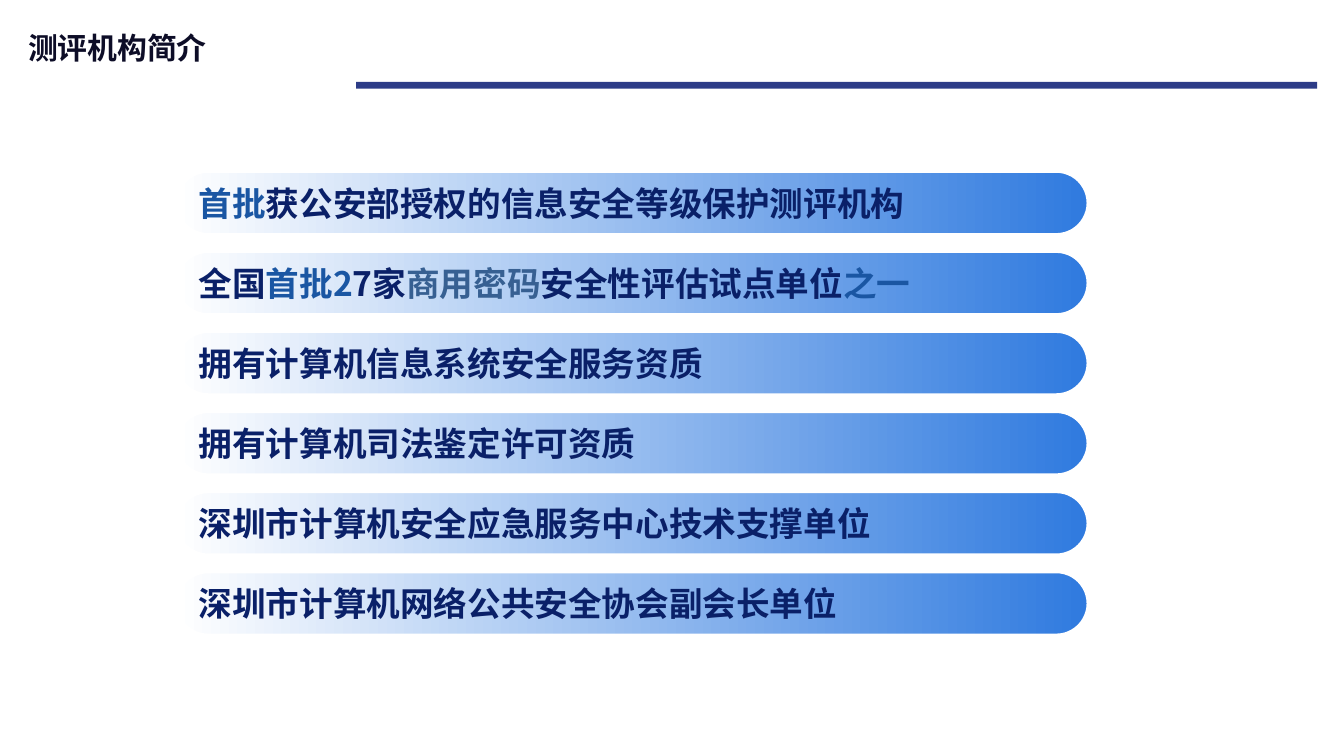
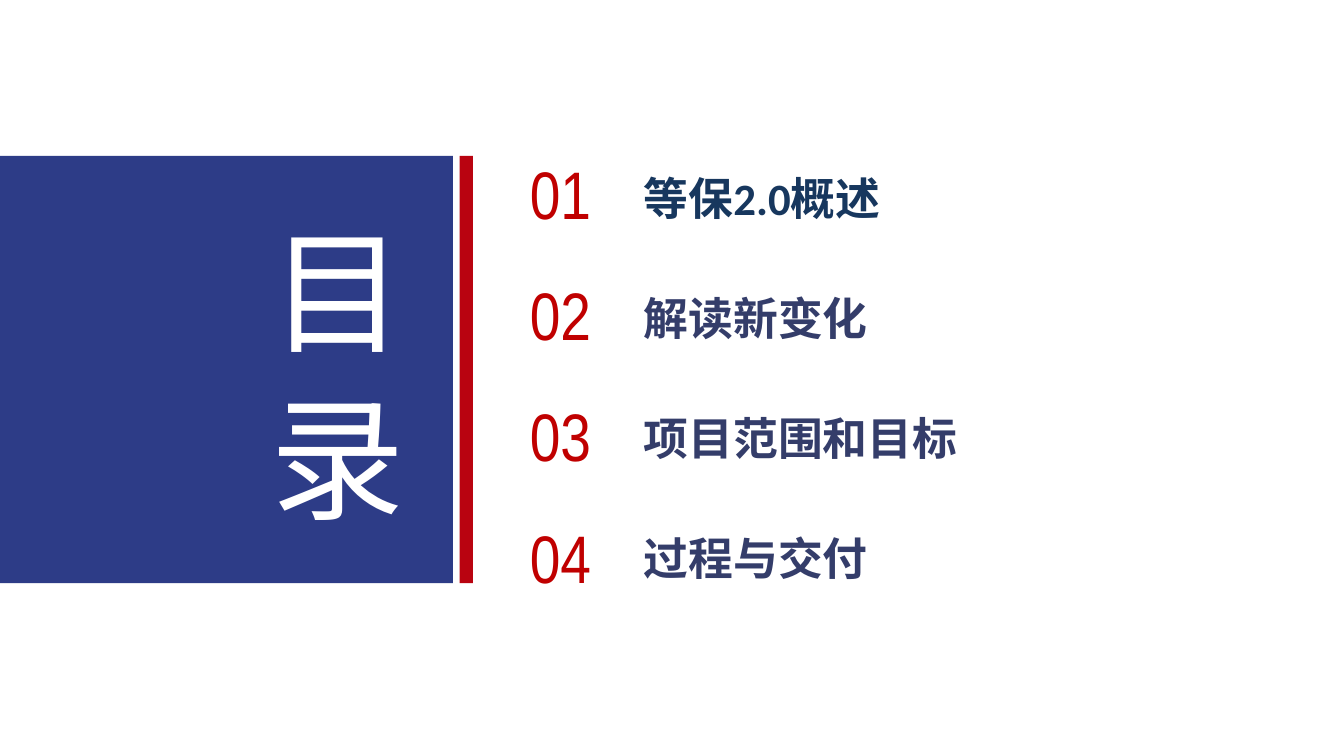
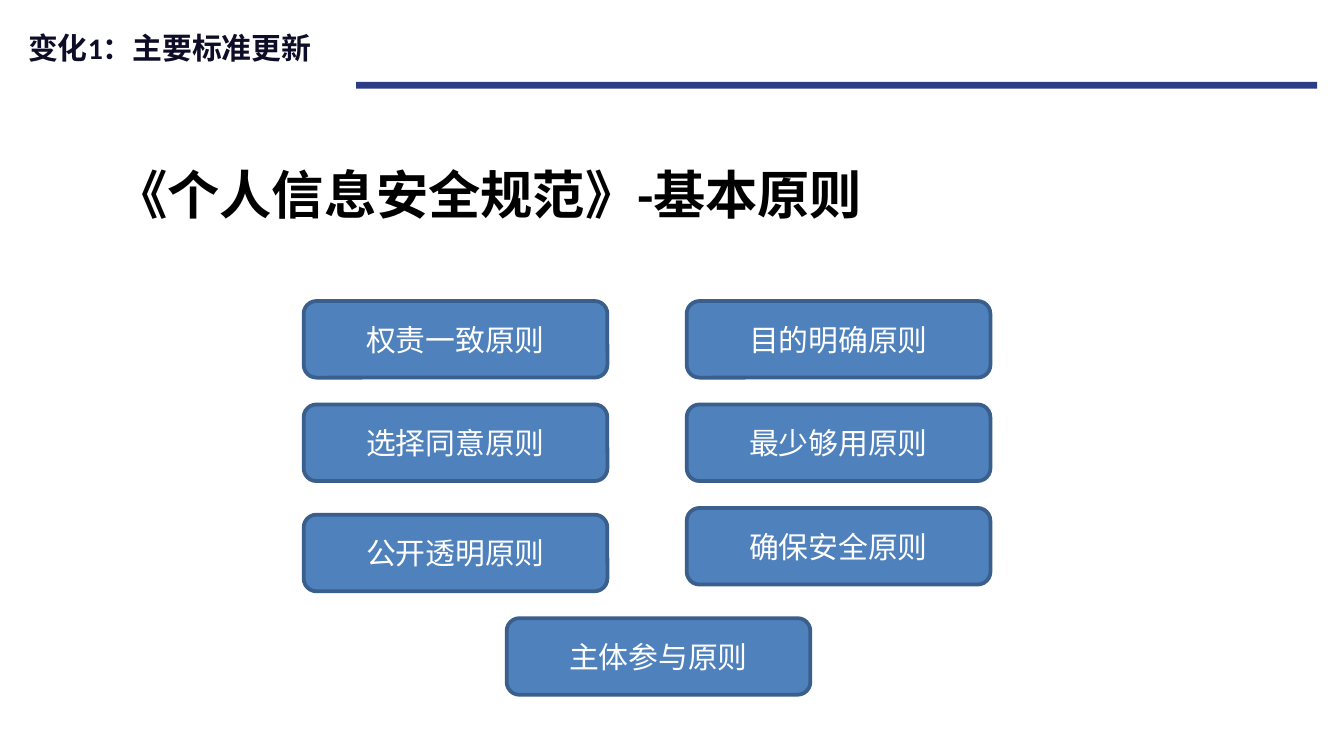
from dataclasses import dataclass

from lxml import etree
from pptx import Presentation
from pptx.dml.color import RGBColor
from pptx.enum.shapes import MSO_SHAPE as Preset
from pptx.enum.text import MSO_ANCHOR as Anchor, MSO_AUTO_SIZE as AutoSize, PP_ALIGN as Align
from pptx.oxml.ns import qn
from pptx.util import Inches, Pt


@dataclass(frozen=True)
class Theme:
    blue: str = "2D3C87"
    red: str = "B90310"
    number: str = "C00000"
    title: str = "0D0D27"
    navy: str = "0A2068"
    accent: str = "1A56A3"
    steel: str = "376092"
    agenda_first: str = "17375E"
    agenda: str = "343D6A"
    bar_end: str = "2F7ADF"
    button: str = "4F81BD"
    button_line: str = "3A5F8C"
    white: str = "FFFFFF"
    black: str = "000000"
    latin: str = "Calibri"
    chinese: str = "Noto Sans CJK SC"
    small: int = 16
    medium: int = 18
    large: int = 24
    heading: int = 28
    numeral: int = 36
    display: int = 72


theme = Theme()
CELL = Inches(0.1)  # the slide is 100 grid columns wide, in 16:9


def place(shape, cells, fill=None, line=None, line_width=2):
    """Put a shape on the grid (column, row, columns, rows) and paint it."""
    shape.left, shape.top, shape.width, shape.height = [round(cell * CELL) for cell in cells]
    if fill:
        shape.shadow.inherit = False
        if isinstance(fill, tuple):
            shape.fill.gradient()
            shape.fill.gradient_angle = 0
            for stop, color in zip(shape.fill.gradient_stops, fill):
                stop.color.rgb = RGBColor.from_string(color)
        else:
            shape.fill.solid()
            shape.fill.fore_color.rgb = RGBColor.from_string(fill)
        if line:
            shape.line.color.rgb = RGBColor.from_string(line)
            shape.line.width = Pt(line_width)
        else:
            shape.line.fill.background()
    return shape


def write(shape, *paragraphs, size, color=theme.black, font=theme.latin, bold=False,
          align=Align.LEFT, anchor=Anchor.TOP, insets=(0.1, 0.05), space_after=0):
    """Fill a shape with paragraphs; each is a text or a list of (text, color) runs."""
    frame = shape.text_frame
    frame.word_wrap = True
    frame.auto_size = AutoSize.NONE
    frame.vertical_anchor = anchor
    frame.margin_left = frame.margin_right = Inches(insets[0])
    frame.margin_top = frame.margin_bottom = Inches(insets[1])
    for index, content in enumerate(paragraphs):
        paragraph = frame.add_paragraph() if index else frame.paragraphs[0]
        paragraph.alignment = align
        paragraph.space_before = Pt(0)
        paragraph.space_after = Pt(space_after)
        for text, run_color in [(content, color)] if isinstance(content, str) else content:
            run = paragraph.add_run()
            run.text = text
            run.font.size = Pt(size)
            run.font.bold = bold
            run.font.name = font
            run.font.color.rgb = RGBColor.from_string(run_color)
            east_asian = etree.Element(qn("a:ea"), typeface=theme.chinese)
            run.font._element.find(qn("a:latin")).addnext(east_asian)


presentation = Presentation()
presentation.slide_width = 100 * CELL
presentation.slide_height = presentation.slide_width * 9 // 16
title_only = presentation.slide_layouts[5]
title_and_body = presentation.slide_layouts[1]

profile, contents, principles = [
    presentation.slides.add_slide(layout) for layout in (title_only, title_and_body, title_only)
]

# Shared header: title and blue rule
for slide, heading in ((profile, "测评机构简介"), (principles, "变化1：主要标准更新")):
    title = place(slide.shapes.title, (1.1, 1.7, 32.4, 3.7))
    write(title, heading, size=theme.small, color=theme.title, bold=True)
    rule = slide.shapes.add_shape(Preset.RECTANGLE, 0, 0, 0, 0)
    place(rule, (26.5, 6.1, 71.5, 0.5), theme.blue)

# Profile: six gradient bars
qualifications = [
    [("首批", theme.accent), ("获公安部授权的信息安全等级保护测评机构", theme.navy)],
    [("全国", theme.navy), ("首批2", theme.accent), ("7家", theme.navy),
     ("商用密码", theme.steel), ("安全性评估试点单位", theme.navy), ("之一", theme.accent)],
    "拥有计算机信息系统安全服务资质",
    "拥有计算机司法鉴定许可资质",
    "深圳市计算机安全应急服务中心技术支撑单位",
    "深圳市计算机网络公共安全协会副会长单位",
]
for index, qualification in enumerate(qualifications):
    bar = profile.shapes.add_shape(Preset.ROUNDED_RECTANGLE, 0, 0, 0, 0)
    bar.adjustments[0] = 0.5
    place(bar, (13.1, 12.7 + 5.96 * index, 67.9, 4.8),
          (theme.white, theme.bar_end), theme.white, 2.25)
    write(bar, qualification, size=theme.medium, color=theme.navy, font=theme.chinese,
          bold=True, anchor=Anchor.MIDDLE)

# Contents: panel and stripe behind a vertical title
title = place(contents.shapes.title, (17.7, 15.7, 14.1, 27.9))
write(title, "目 录", size=theme.display, color=theme.white, font="Arial",
      anchor=Anchor.MIDDLE, insets=(0.1, 0.1))
title.text_frame._txBody.bodyPr.set("vert", "eaVert")
for column, columns, color in ((0, 33.7, theme.blue), (34.2, 1, theme.red)):
    band = contents.shapes.add_shape(Preset.RECTANGLE, 0, 0, 0, 0)
    place(band, (column, 11.6, columns, 31.8), color)
    title.element.addprevious(band.element)

# Contents: numbered chapters
chapters = [[("等保2.0概述", theme.agenda_first)], "解读新变化", "项目范围和目标", "过程与交付"]
body = place(contents.placeholders[1], (47.9, 12.7, 46.2, 31.4))
write(body, *chapters, size=theme.large, color=theme.agenda, bold=True,
      insets=(0, 0), space_after=35.5)
for paragraph in body.text_frame.paragraphs:
    properties = paragraph._p.get_or_add_pPr()
    properties.set("marL", "0")
    properties.set("indent", "0")
    etree.SubElement(properties, qn("a:buNone"))
for index in range(len(chapters)):
    number = contents.shapes.add_textbox(0, 0, 0, 0)
    place(number, (36.7, 8.9 + 9.03 * index, 10, 10.8))
    write(number, f"{index + 1:02}", size=theme.numeral, color=theme.number,
          font="Arial Narrow", align=Align.CENTER, anchor=Anchor.MIDDLE)

# Principles: heading and seven buttons
heading = place(principles.shapes.add_textbox(0, 0, 0, 0), (7.6, 11.6, 58.5, 5.7))
write(heading, "《个人信息安全规范》-基本原则", size=theme.heading, bold=True)
buttons = [
    (22.6, 22.4, "权责一致原则"), (22.6, 30.1, "选择同意原则"), (22.6, 38.3, "公开透明原则"),
    (51.1, 22.4, "目的明确原则"), (51.1, 30.1, "最少够用原则"), (51.1, 37.8, "确保安全原则"),
    (37.7, 46, "主体参与原则"),
]
for column, row, principle in buttons:
    button = principles.shapes.add_shape(Preset.ROUNDED_RECTANGLE, 0, 0, 0, 0)
    place(button, (column, row, 22.6, 5.7), theme.button, theme.button_line)
    write(button, principle, size=theme.small, color=theme.white, font=theme.chinese,
          align=Align.CENTER, anchor=Anchor.MIDDLE)

presentation.save("out.pptx")
